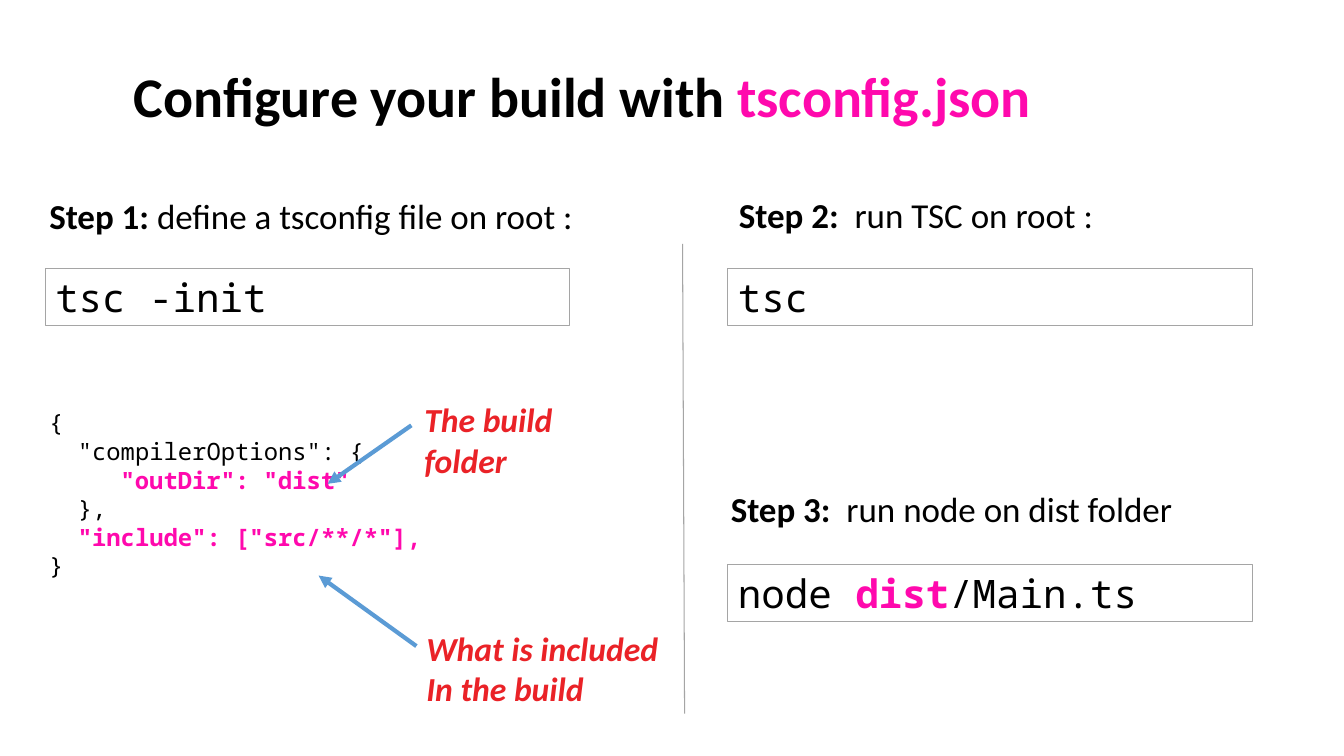
from pptx import Presentation
from pptx.dml.color import RGBColor
from pptx.enum.shapes import MSO_CONNECTOR as Connector, MSO_SHAPE as Shape
from pptx.enum.text import MSO_ANCHOR as Anchor, PP_ALIGN as Align
from pptx.oxml.ns import qn
from pptx.util import Inches, Pt
from lxml.etree import SubElement

BLACK, PINK, RED, BLUE, GRAY = "000000", "FF09AD", "EA2227", "5B9BD5", "A5A5A5"
SANS, MONO = "Calibri", "Noto Sans Mono"
CHARACTER = 0.6  # width of a monospaced character, as a share of its size


def color(value):
    return RGBColor.from_string(value)


class SlideBuilder:
    def __init__(self, slide):
        self.shapes = slide.shapes

    def add_text(self, shape, paragraphs, size, font, italic=False, indents=()):
        """Each paragraph is a list of (text, colour, bold) runs."""
        frame = shape.text_frame
        frame.word_wrap = True
        for index, runs in enumerate(paragraphs):
            paragraph = frame.add_paragraph() if index else frame.paragraphs[0]
            paragraph.alignment = Align.LEFT
            if indents:
                margin = Pt(indents[index] * size * CHARACTER)
                properties = paragraph._p.get_or_add_pPr()
                properties.set("marL", str(int(margin)))
                properties.set("indent", "0")
            for text, run_color, bold in runs:
                run = paragraph.add_run()
                run.text = text
                run.font.name = font
                run.font.size = Pt(size)
                run.font.bold = bold
                run.font.italic = italic
                run.font.color.rgb = color(run_color)

    def text(self, left, top, width, height, paragraphs, size, font=SANS, **style):
        box = self.shapes.add_textbox(
            Inches(left), Inches(top), Inches(width), Inches(height))
        self.add_text(box, paragraphs, size, font, **style)

    def step(self, left, top, width, label, instruction):
        runs = [(label, BLACK, True), (instruction, BLACK, False)]
        self.text(left, top, width, 0.52, [runs], 25)

    def note(self, left, top, width, lines):
        paragraphs = [[(line, RED, True)] for line in lines]
        self.text(left, top, width, 0.91, paragraphs, 24, italic=True)

    def command(self, left, top, runs):
        box = self.shapes.add_shape(
            Shape.RECTANGLE, Inches(left), Inches(top), Inches(5.2), Inches(0.57))
        box.shadow.inherit = False
        box.fill.background()
        box.line.color.rgb = color(GRAY)
        box.line.width = Pt(0.75)
        box.text_frame.vertical_anchor = Anchor.MIDDLE
        self.add_text(box, [runs], 28, MONO)

    def line(self, start, end, line_color, width, arrow=False):
        points = [Inches(value) for value in (*start, *end)]
        connector = self.shapes.add_connector(Connector.STRAIGHT, *points)
        connector.line.color.rgb = color(line_color)
        connector.line.width = Pt(width)
        properties = connector._element.spPr
        if arrow:
            SubElement(properties.find(qn("a:ln")), qn("a:tailEnd"), type="triangle")
        SubElement(properties, qn("a:effectLst"))


def main():
    presentation = Presentation()
    presentation.slide_width = Inches(13.33)
    presentation.slide_height = Inches(7.5)
    slide = presentation.slides.add_slide(presentation.slide_layouts[6])
    builder = SlideBuilder(slide)

    # Title
    title = [("Configure your build with ", BLACK, True), ("tsconfig.json", PINK, True)]
    builder.text(1.23, 0.56, 12.1, 0.77, [title], 40)

    # Configuration file: indent in characters, text, highlighted
    code = [
        (0, "{", False),
        (2, '"compilerOptions": {', False),
        (5, '"outDir": "dist"', True),
        (2, "},", False),
        (2, '"include": ["src/**/*"],', True),
        (0, "}", False),
    ]
    builder.text(
        0.39, 4, 4.07, 2.39,
        [[(text, PINK if marked else BLACK, marked)] for _, text, marked in code],
        17, MONO, indents=[indent for indent, _, _ in code])

    # Notes with their arrows
    builder.note(4.13, 6.18, 2.6, ["What is included", "In the build"])
    builder.line((4.13, 6.41), (3.16, 5.71), BLUE, 3, arrow=True)
    builder.note(4.11, 3.91, 1.48, ["The build", "folder"])
    builder.line((4.08, 4.22), (3.25, 4.8), BLUE, 3, arrow=True)

    # Column divider
    builder.line((6.77, 2.42), (6.79, 7.08), GRAY, 0.75)

    # Steps
    builder.step(0.39, 1.88, 5.88, "Step 1:", " define a tsconfig file on root :")
    builder.step(7.23, 1.87, 5.34, "Step 2:", "  run TSC on root :")
    builder.step(7.15, 4.79, 5.34, "Step 3:", "  run node on dist folder")

    # Commands
    builder.command(0.45, 2.66, [("tsc -init", BLACK, False)])
    builder.command(7.22, 2.66, [("tsc", BLACK, False)])
    builder.command(7.22, 5.6, [
        ("node ", BLACK, False), ("dist", PINK, True), ("/Main.ts", BLACK, False)])

    presentation.save("out.pptx")


if __name__ == "__main__":
    main()
